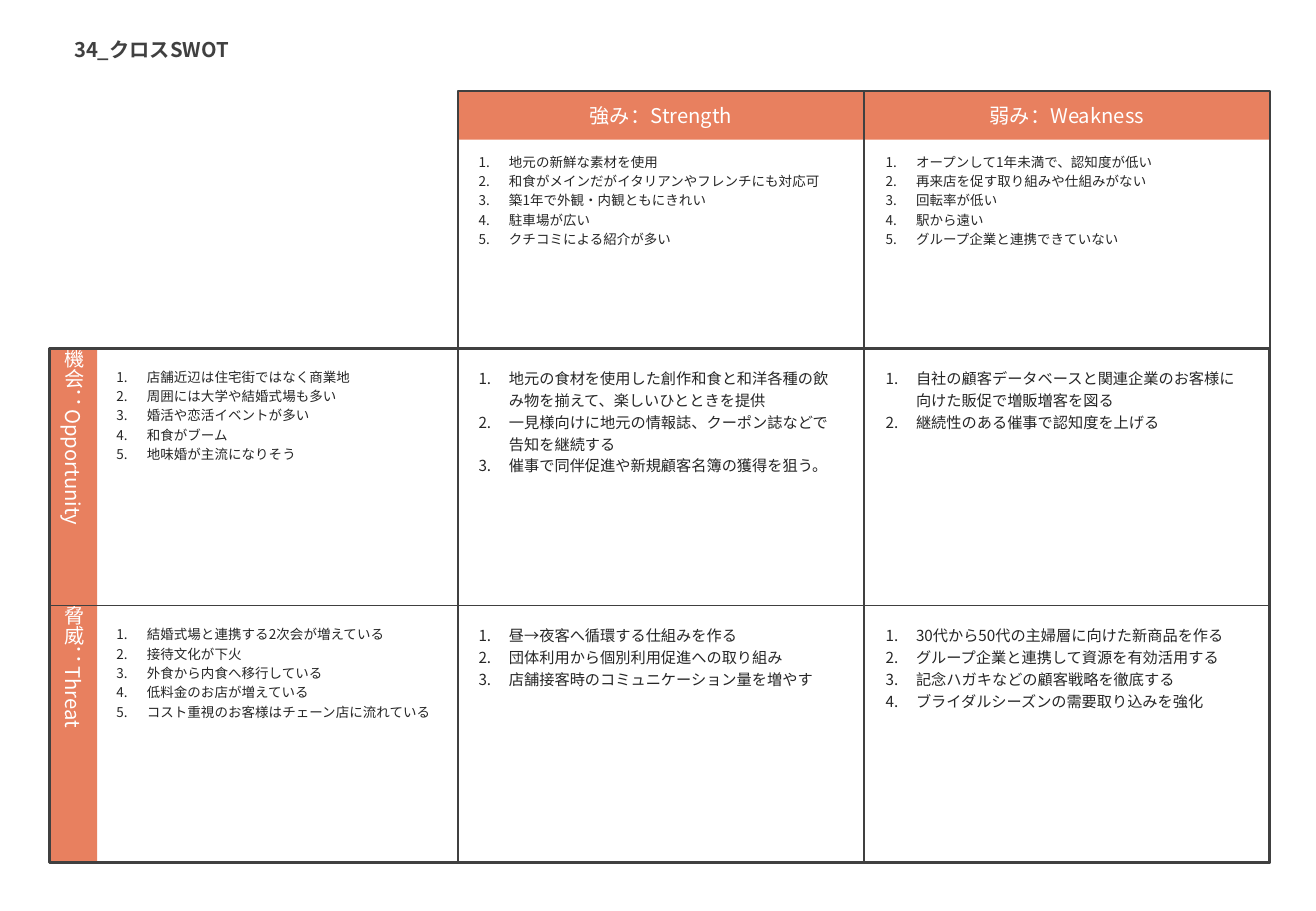
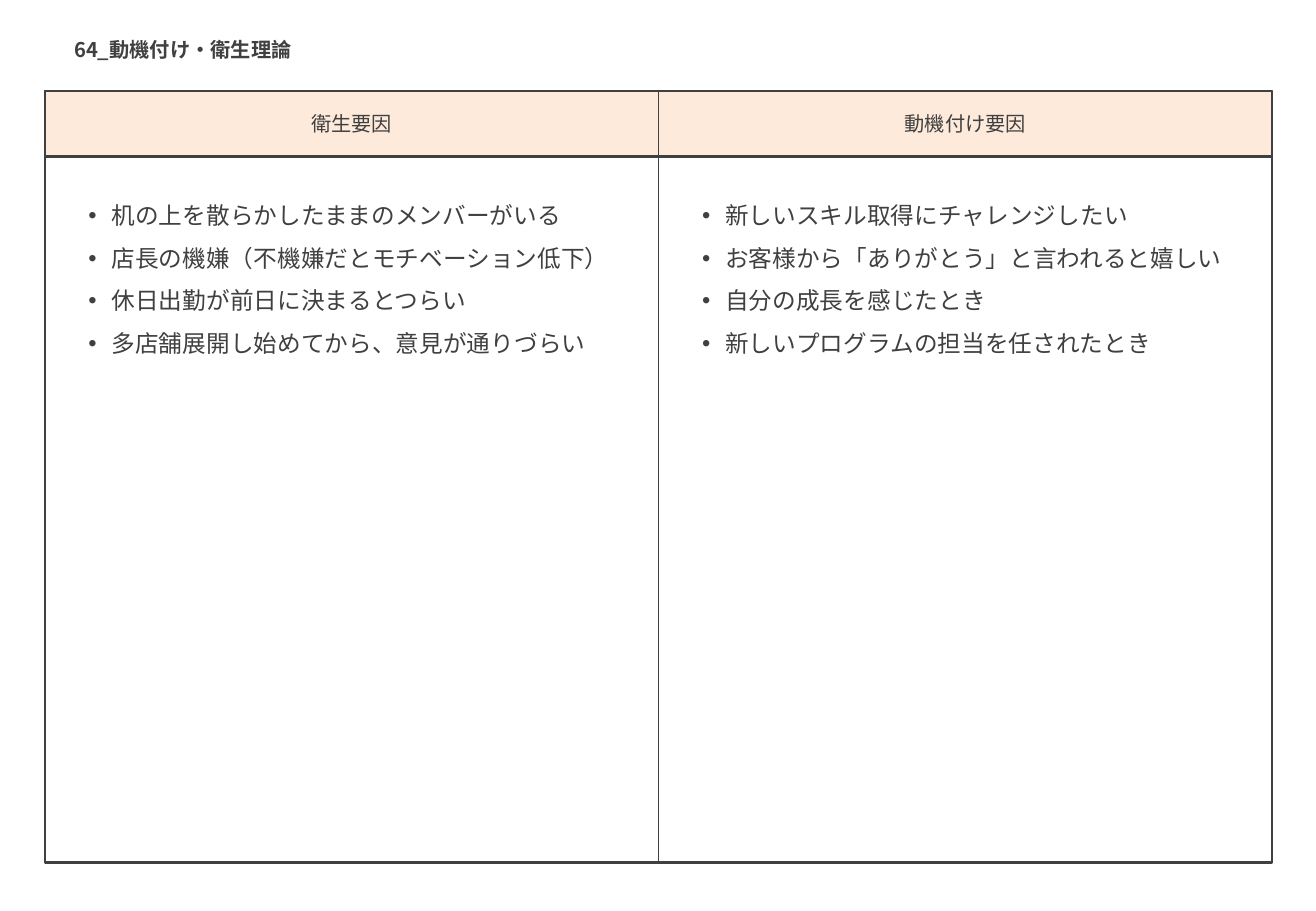
from lxml.etree import SubElement
from pptx import Presentation
from pptx.dml.color import RGBColor
from pptx.enum.shapes import MSO_CONNECTOR, MSO_SHAPE
from pptx.enum.text import MSO_ANCHOR, MSO_AUTO_SIZE, PP_ALIGN
from pptx.oxml.ns import qn
from pptx.util import Inches, Pt

FONT = "Noto Sans CJK JP"
COLORS = {
    "accent": "E8805F",
    "pale": "FDEADA",
    "line": "404040",
    "body": "262626",
    "white": "FFFFFF",
}
TOP, BOTTOM = 0.75, 7.1
TOP_SIDE, LEFT_SIDE, BOTTOM_SIDE, RIGHT_SIDE = range(4)


def color(name):
    return RGBColor.from_string(COLORS[name])


class Deck:
    """Holds the shared style and the slide being built."""

    def __init__(self):
        self.presentation = Presentation()
        self.presentation.slide_width = Inches(10.83)
        self.presentation.slide_height = Inches(7.5)
        self.slide = None

    def add_slide(self, title):
        self.slide = self.presentation.slides.add_slide(self.presentation.slide_layouts[5])
        shape = self.slide.shapes.title
        shape.left, shape.top = Inches(0.51), Inches(0.26)
        shape.width, shape.height = Inches(2.2), Inches(0.3)
        frame = shape.text_frame
        frame.auto_size = MSO_AUTO_SIZE.NONE
        frame.vertical_anchor = MSO_ANCHOR.TOP
        paragraph = frame.paragraphs[0]
        paragraph.alignment = PP_ALIGN.LEFT
        self.run(paragraph, title, 12, "line", bold=True)

    def run(self, paragraph, text, size, color_name, bold=False):
        run = paragraph.add_run()
        run.text = text
        font = run.font
        font.size, font.bold, font.name = Pt(size), bold, FONT
        font.color.rgb = color(color_name)
        SubElement(run._r.get_or_add_rPr(), qn("a:ea"), typeface=FONT)

    def rectangle(self, left, top, width, height):
        shape = self.slide.shapes.add_shape(
            MSO_SHAPE.RECTANGLE, Inches(left), Inches(top), Inches(width), Inches(height))
        shape.shadow.inherit = False
        return shape

    def band(self, left, top, width, height, text, fill, text_color, vertical=False):
        shape = self.rectangle(left, top, width, height)
        shape.fill.solid()
        shape.fill.fore_color.rgb = color(fill)
        shape.line.fill.background()
        frame = shape.text_frame
        frame.margin_left = frame.margin_right = frame.margin_top = frame.margin_bottom = 0
        frame.vertical_anchor = MSO_ANCHOR.MIDDLE
        if vertical:
            frame._txBody.bodyPr.set("vert", "eaVert")
        paragraph = frame.paragraphs[0]
        paragraph.alignment = PP_ALIGN.CENTER
        self.run(paragraph, text, 12, text_color)

    def outline(self, left, top, width, height):
        shape = self.rectangle(left, top, width, height)
        shape.fill.background()
        shape.line.color.rgb = color("line")
        shape.line.width = Pt(1.5)
        return shape

    def divider(self, shape, begin_side, end_side):
        """Halves a rectangle with a line joined to two opposite sides."""
        line = self.slide.shapes.add_connector(MSO_CONNECTOR.STRAIGHT, 0, 0, 0, 0)
        line.begin_connect(shape, begin_side)
        line.end_connect(shape, end_side)
        line.line.color.rgb = color("line")
        line.line.width = Pt(1)
        SubElement(line._element.spPr, qn("a:effectLst"))

    def item_list(self, left, top, width, height, items, size, color_name,
                  spacing, indent, numbered):
        box = self.slide.shapes.add_textbox(
            Inches(left), Inches(top), Inches(width), Inches(height))
        frame = box.text_frame
        frame.word_wrap = True
        for index, item in enumerate(items):
            paragraph = frame.add_paragraph() if index else frame.paragraphs[0]
            paragraph.line_spacing = spacing
            properties = paragraph._p.get_or_add_pPr()
            properties.set("marL", str(Inches(indent)))
            properties.set("indent", str(-Inches(indent)))
            if numbered:
                SubElement(properties, qn("a:buFont"), typeface="+mj-lt")
                SubElement(properties, qn("a:buAutoNum"), type="arabicPeriod")
            else:
                SubElement(properties, qn("a:buFont"), typeface="Arial")
                SubElement(properties, qn("a:buChar"), char="•")
            self.run(paragraph, item, size, color_name)


def add_cross_swot(deck):
    deck.add_slide("34_クロスSWOT")
    left, matrix_left, right, matrix_top = 0.41, 3.77, 10.45, 2.87
    column_width = (right - matrix_left) / 2
    row_height = (BOTTOM - matrix_top) / 2

    for index, label in enumerate(["強み：Strength", "弱み：Weakness"]):
        deck.band(matrix_left + index * column_width, TOP, column_width, 0.4,
                  label, "accent", "white")
    for index, label in enumerate(["機会：Opportunity", "脅威：Threat"]):
        deck.band(left, matrix_top + index * row_height, 0.39, row_height,
                  label, "accent", "white", vertical=True)

    columns = deck.outline(matrix_left, TOP, right - matrix_left, BOTTOM - TOP)
    rows = deck.outline(left, matrix_top, right - left, BOTTOM - matrix_top)
    deck.divider(columns, TOP_SIDE, BOTTOM_SIDE)
    deck.divider(rows, LEFT_SIDE, RIGHT_SIDE)

    list_columns = [(0.86, 2.81), (3.84, 3.16), (7.19, 3.19)]
    list_tops = [1.19, 2.96, 5.08]
    lists = {
        (0, 1): ["地元の新鮮な素材を使用",
                 "和食がメインだがイタリアンやフレンチにも対応可",
                 "築1年で外観・内観ともにきれい",
                 "駐車場が広い",
                 "クチコミによる紹介が多い"],
        (0, 2): ["オープンして1年未満で、認知度が低い",
                 "再来店を促す取り組みや仕組みがない",
                 "回転率が低い",
                 "駅から遠い",
                 "グループ企業と連携できていない"],
        (1, 0): ["店舗近辺は住宅街ではなく商業地",
                 "周囲には大学や結婚式場も多い",
                 "婚活や恋活イベントが多い",
                 "和食がブーム",
                 "地味婚が主流になりそう"],
        (1, 1): ["地元の食材を使用した創作和食と和洋各種の飲み物を揃えて、楽しいひとときを提供",
                 "一見様向けに地元の情報誌、クーポン誌などで告知を継続する",
                 "催事で同伴促進や新規顧客名簿の獲得を狙う。"],
        (1, 2): ["自社の顧客データベースと関連企業のお客様に向けた販促で増販増客を図る",
                 "継続性のある催事で認知度を上げる"],
        (2, 0): ["結婚式場と連携する2次会が増えている",
                 "接待文化が下火",
                 "外食から内食へ移行している",
                 "低料金のお店が増えている",
                 "コスト重視のお客様はチェーン店に流れている"],
        (2, 1): ["昼→夜客へ循環する仕組みを作る",
                 "団体利用から個別利用促進への取り組み",
                 "店舗接客時のコミュニケーション量を増やす"],
        (2, 2): ["30代から50代の主婦層に向けた新商品を作る",
                 "グループ企業と連携して資源を有効活用する",
                 "記念ハガキなどの顧客戦略を徹底する",
                 "ブライダルシーズンの需要取り込みを強化"],
    }
    for (row, column), items in lists.items():
        list_left, width = list_columns[column]
        is_strategy = row > 0 and column > 0
        deck.item_list(list_left, list_tops[row], width, 0.9, items,
                       9 if is_strategy else 8, "body", 1.2, 0.25, numbered=True)


def add_two_factor_theory(deck):
    deck.add_slide("64_動機付け・衛生理論")
    left, column_width, header_height = 0.37, 5.05, 0.54
    factors = {
        "衛生要因": ["机の上を散らかしたままのメンバーがいる",
                 "店長の機嫌（不機嫌だとモチベーション低下）",
                 "休日出勤が前日に決まるとつらい",
                 "多店舗展開し始めてから、意見が通りづらい"],
        "動機付け要因": ["新しいスキル取得にチャレンジしたい",
                   "お客様から「ありがとう」と言われると嬉しい",
                   "自分の成長を感じたとき",
                   "新しいプログラムの担当を任されたとき"],
    }
    for index, (label, items) in enumerate(factors.items()):
        column_left = left + index * column_width
        deck.band(column_left, TOP, column_width, header_height, label, "pale", "line")
        deck.item_list(column_left + 0.26, 1.49, 4.53, 1.51, items,
                       14, "line", 1.5, 0.19, numbered=False)
    deck.outline(left, TOP, 2 * column_width, header_height)
    table_frame = deck.outline(left, TOP, 2 * column_width, BOTTOM - TOP)
    deck.divider(table_frame, TOP_SIDE, BOTTOM_SIDE)


def main():
    deck = Deck()
    add_cross_swot(deck)
    add_two_factor_theory(deck)
    deck.presentation.save("out.pptx")


if __name__ == "__main__":
    main()
